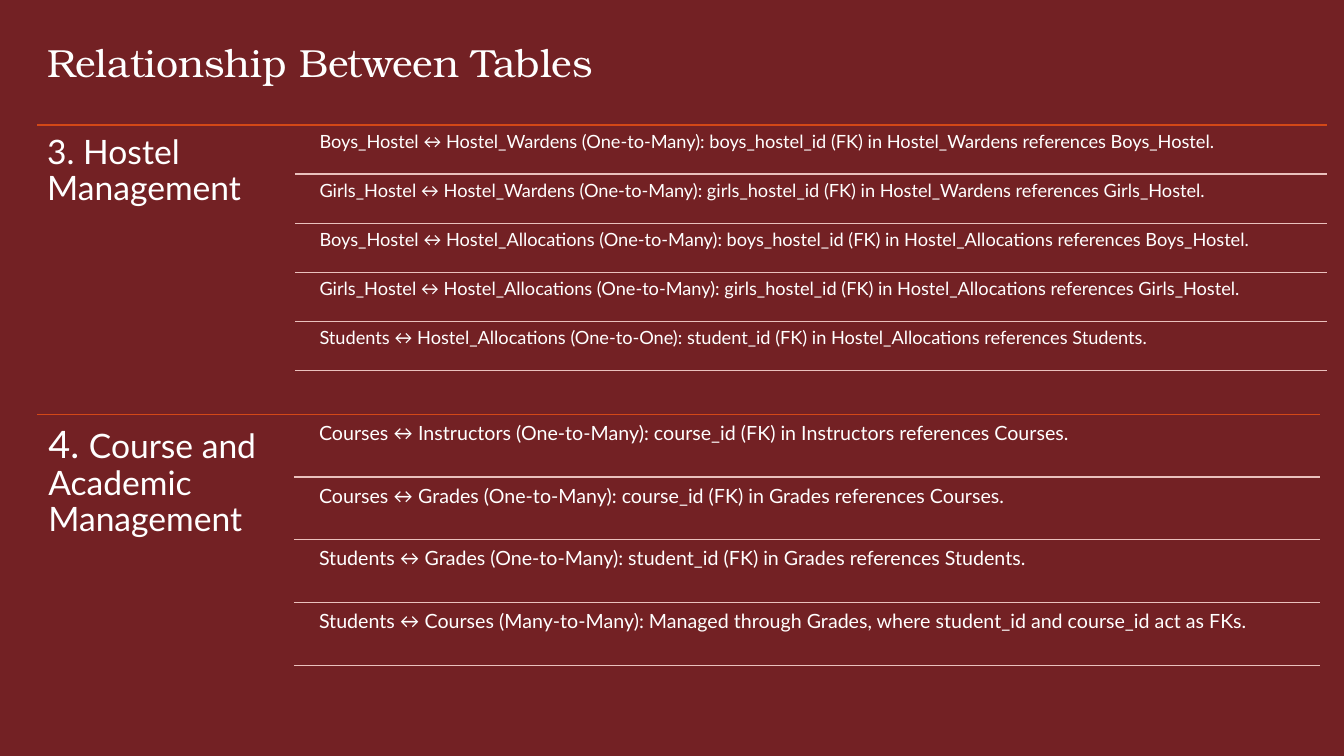
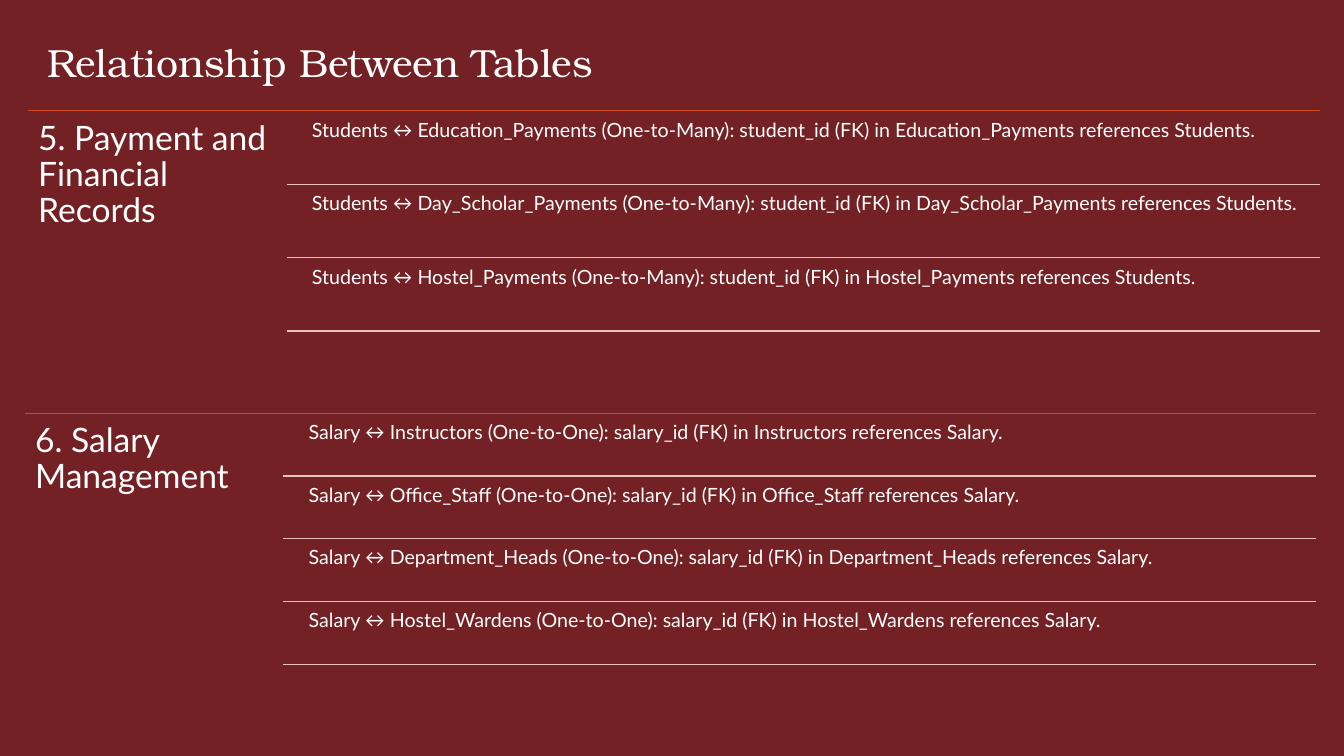
from lxml import etree
from pptx import Presentation
from pptx.dml.color import RGBColor
from pptx.enum.shapes import MSO_CONNECTOR
from pptx.enum.text import MSO_ANCHOR, MSO_AUTO_SIZE, PP_ALIGN
from pptx.oxml.ns import qn
from pptx.util import Inches, Pt

STRAIGHT = MSO_CONNECTOR.STRAIGHT
LEFT = PP_ALIGN.LEFT
TOP = MSO_ANCHOR.TOP
NO_AUTOFIT = MSO_AUTO_SIZE.NONE

COLORS = {
    "background": "732124",
    "text": "FFFFFF",
    "section_line": "D34817",
    "row_line": "EAC1BD",
}
TITLE_FONT = "TeX Gyre Bonum"
BODY_FONT = "Lato"
TITLE = "Relationship Between Tables"
TITLE_BOX = (0.37, 0.33, 9.88, 0.57)
TITLE_ONLY_LAYOUT = 5

LABEL_SHARE = 0.2      # label width as a share of the section width
ROW_INDENT = 0.015     # gap between label and row text, same base
ROW_PADDING = 0.05     # space above row text as a share of the row pitch
INSET_EM = 0.3         # text inset as a share of the font size

# Each section: box (left, top, width, height), label runs, row size, rows
SLIDES = [
    [
        {
            "box": (0.37, 1.24, 12.79, 2.46),
            "label": [("3. Hostel Management", 24)],
            "row_size": 13,
            "rows": [
                "Boys_Hostel ↔ Hostel_Wardens (One-to-Many): boys_hostel_id (FK) in Hostel_Wardens references Boys_Hostel.",
                "Girls_Hostel ↔ Hostel_Wardens (One-to-Many): girls_hostel_id (FK) in Hostel_Wardens references Girls_Hostel.",
                "Boys_Hostel ↔ Hostel_Allocations (One-to-Many): boys_hostel_id (FK) in Hostel_Allocations references Boys_Hostel.",
                "Girls_Hostel ↔ Hostel_Allocations (One-to-Many): girls_hostel_id (FK) in Hostel_Allocations references Girls_Hostel.",
                "Students ↔ Hostel_Allocations (One-to-One): student_id (FK) in Hostel_Allocations references Students.",
            ],
        },
        {
            "box": (0.37, 4.11, 12.72, 2.52),
            "label": [("4. ", 27), ("Course and Academic Management", 24)],
            "row_size": 14,
            "rows": [
                "Courses ↔ Instructors (One-to-Many): course_id (FK) in Instructors references Courses.",
                "Courses ↔ Grades (One-to-Many): course_id (FK) in Grades references Courses.",
                "Students ↔ Grades (One-to-Many): student_id (FK) in Grades references Students.",
                "Students ↔ Courses (Many-to-Many): Managed through Grades, where student_id and course_id act as FKs.",
            ],
        },
    ],
    [
        {
            "box": (0.28, 1.1, 12.81, 2.22),
            "label": [("5. Payment and Financial Records", 24)],
            "row_size": 14,
            "rows": [
                "Students ↔ Education_Payments (One-to-Many): student_id (FK) in Education_Payments references Students.",
                "Students ↔ Day_Scholar_Payments (One-to-Many): student_id (FK) in Day_Scholar_Payments references Students.",
                "Students ↔ Hostel_Payments (One-to-Many): student_id (FK) in Hostel_Payments references Students.",
            ],
        },
        {
            "box": (0.25, 4.1, 12.8, 2.52),
            "label": [("6. Salary Management", 24)],
            "row_size": 14,
            "rows": [
                "Salary ↔ Instructors (One-to-One): salary_id (FK) in Instructors references Salary.",
                "Salary ↔ Office_Staff (One-to-One): salary_id (FK) in Office_Staff references Salary.",
                "Salary ↔ Department_Heads (One-to-One): salary_id (FK) in Department_Heads references Salary.",
                "Salary ↔ Hostel_Wardens (One-to-One): salary_id (FK) in Hostel_Wardens references Salary.",
            ],
        },
    ],
]


def rgb(name):
    return RGBColor.from_string(COLORS[name])


def write_text(shape, runs, *, font=BODY_FONT, line_spacing=0.9, inset=None):
    """Fill a shape with one paragraph of (text, size) runs."""
    frame = shape.text_frame
    frame.word_wrap = True
    frame.auto_size = NO_AUTOFIT
    frame.vertical_anchor = TOP
    if inset is not None:
        frame.margin_left = frame.margin_right = Inches(inset)
        frame.margin_top = frame.margin_bottom = Inches(inset)
    paragraph = frame.paragraphs[0]
    paragraph.alignment = LEFT
    paragraph.line_spacing = line_spacing
    for text, size in runs:
        run = paragraph.add_run()
        run.text = text
        run.font.name = font
        run.font.size = Pt(size)
        run.font.color.rgb = rgb("text")


def add_text(shapes, box, runs):
    """Add a text box whose inset follows the size of its first run."""
    shape = shapes.add_textbox(*map(Inches, box))
    write_text(shape, runs, inset=round(runs[0][1] * INSET_EM / 72, 2))


def add_rule(shapes, left, right, top, color):
    """Add a horizontal line."""
    line = shapes.add_connector(
        STRAIGHT, Inches(left), Inches(top), Inches(right), Inches(top))
    line.line.color.rgb = rgb(color)
    line.line.width = Pt(0.85)
    etree.SubElement(line._element.spPr, qn("a:effectLst"))


def add_section(slide, box, label, row_size, rows):
    """Add a label at the left and ruled rows at the right of the box."""
    left, top, width, height = box
    right = left + width
    label_width = width * LABEL_SHARE
    rows_left = left + label_width
    text_left = rows_left + width * ROW_INDENT
    pitch = height / (len(rows) + ROW_PADDING)
    padding = pitch * ROW_PADDING

    shapes = slide.shapes.add_group_shape().shapes
    add_rule(shapes, left, right, top, "section_line")
    add_text(shapes, (left, top, label_width, height), label)
    for index, row in enumerate(rows):
        row_top = top + index * pitch
        row_box = (text_left, row_top + padding, right - text_left, pitch - padding)
        add_text(shapes, row_box, [(row, row_size)])
        add_rule(shapes, rows_left, right, row_top + pitch, "row_line")


def add_title(slide):
    title = slide.shapes.title
    title.left, title.top, title.width, title.height = map(Inches, TITLE_BOX)
    write_text(title, [(TITLE, 28)], font=TITLE_FONT, line_spacing=1.0)


def add_relationship_slide(presentation, sections):
    layout = presentation.slide_layouts[TITLE_ONLY_LAYOUT]
    slide = presentation.slides.add_slide(layout)
    add_title(slide)
    for section in sections:
        add_section(slide, **section)


def main():
    presentation = Presentation()
    presentation.slide_width = Inches(13.33)
    presentation.slide_height = Inches(7.5)
    background = presentation.slide_master.background.fill
    background.solid()
    background.fore_color.rgb = rgb("background")
    for sections in SLIDES:
        add_relationship_slide(presentation, sections)
    presentation.save("out.pptx")


if __name__ == "__main__":
    main()
